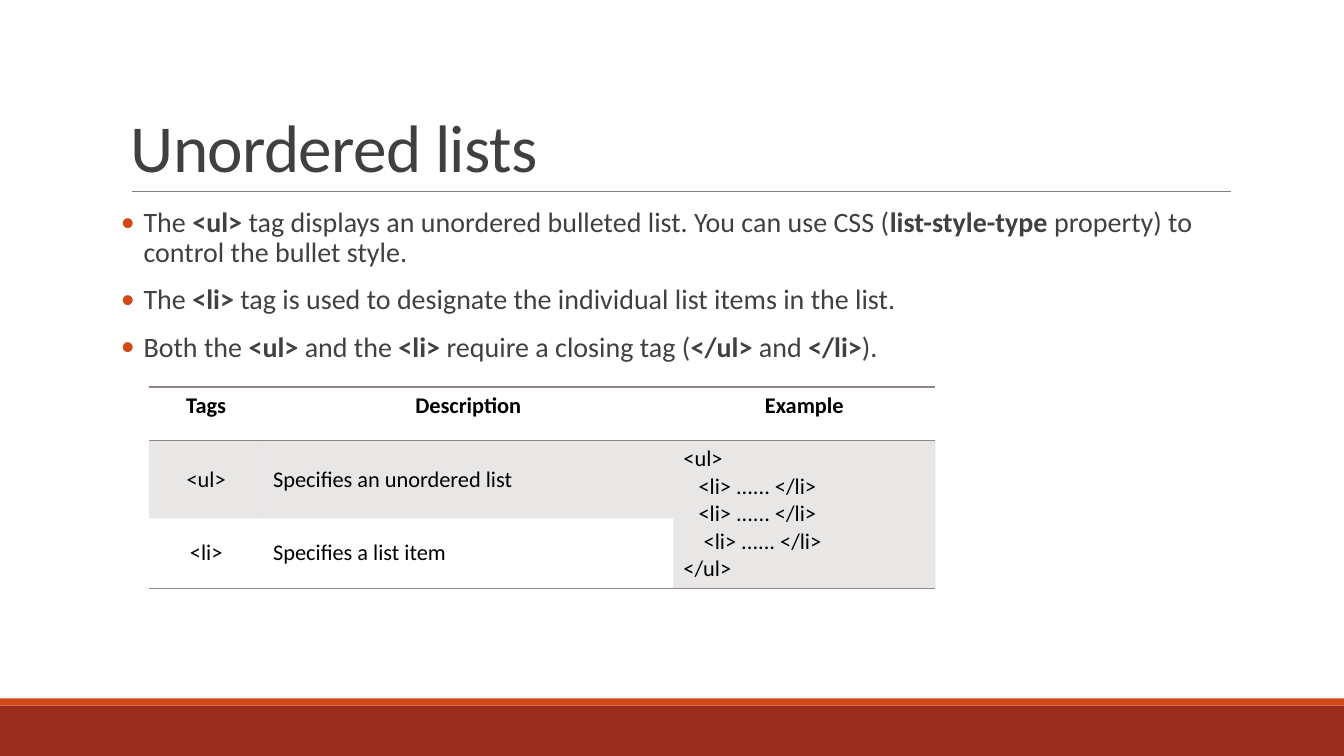
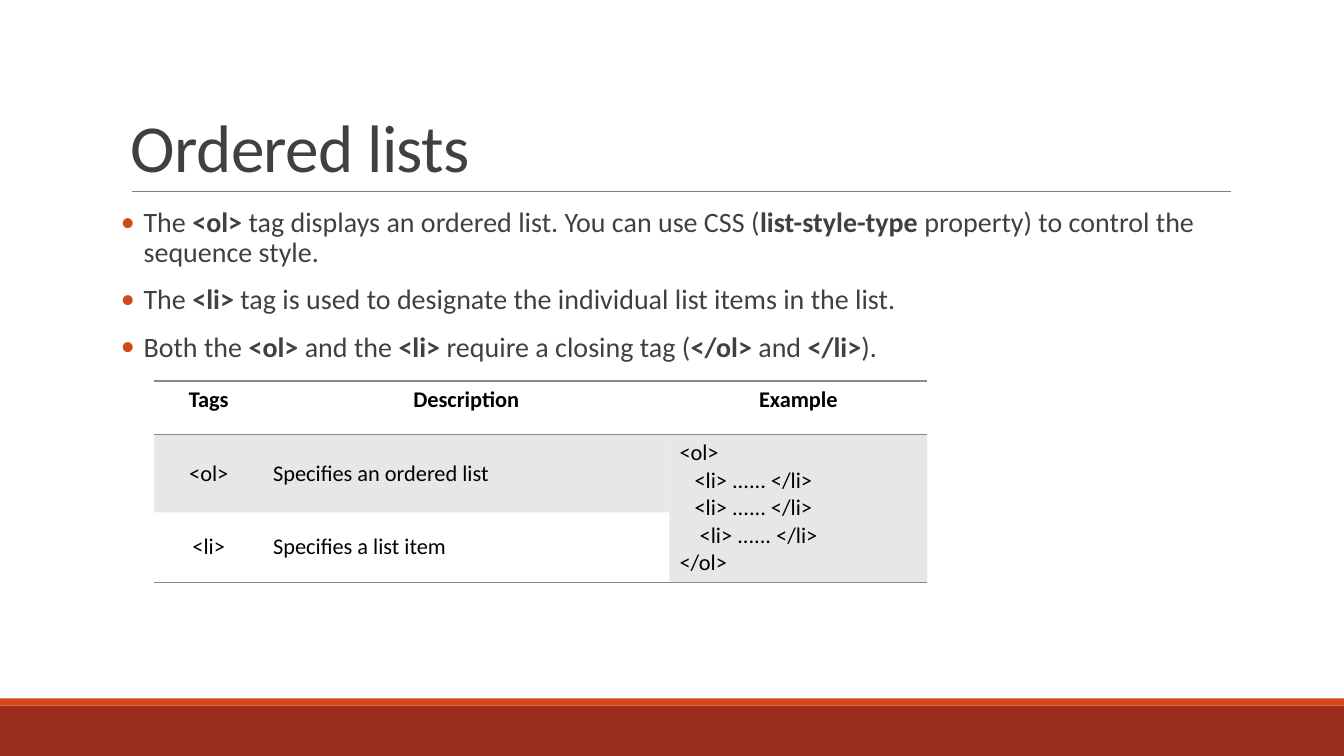
"""Build two slides on HTML unordered and ordered lists."""
from collections import namedtuple
from dataclasses import dataclass

from lxml import etree
from pptx import Presentation
from pptx.dml.color import RGBColor
from pptx.enum import shapes, text
from pptx.oxml import ns
from pptx.util import Cm, Pt

Box = namedtuple("Box", "left top width height")


@dataclass(frozen=True)
class Theme:
    """Hold the colours, font and type sizes of the deck."""

    font: str = "Calibri"
    ink: str = "404040"
    table_ink: str = "000000"
    band: str = "9B2D1F"
    accent: str = "D34817"
    rule: str = "808080"
    table_tone: str = "918485"
    title_size: int = 48
    body_size: int = 20
    table_size: int = 16


THEME = Theme()
SLIDE = Box(0, 0, 33.87, 19.05)
TITLE = Box(3.05, 0.79, 27.94, 4.04)
BODY = Box(3.05, 5.13, 27.94, 11.18)
ROW_HEIGHTS = (1.35, 1.96, 1.76)
NO_TABLE_STYLE = "{2D5ABB26-0587-4C30-8999-92F81FD0307C}"
CODE_INDENTS = (0, 0.38, 0.38, 0.51, 0)


def lengths(box):
    """Convert a box in centimetres to lengths."""
    return [Cm(value) for value in box]


def add_child(parent, tag, **attributes):
    """Append a drawing element with the given attributes."""
    return etree.SubElement(parent, ns.qn(tag), attributes)


def style_span(span, size, colour, bold=False):
    """Format one run of text."""
    span.font.name = THEME.font
    span.font.size = Pt(size)
    span.font.bold = bold
    span.font.color.rgb = RGBColor.from_string(colour)


def add_band(page, box, colour):
    """Draw a plain filled band."""
    band = page.shapes.add_shape(shapes.MSO_SHAPE.RECTANGLE, *lengths(box))
    band.shadow.inherit = False
    band.fill.solid()
    band.fill.fore_color.rgb = RGBColor.from_string(colour)
    band.line.fill.background()


def add_frame(page, box):
    """Draw the footer bands and the rule under the title."""
    stripe, footer = 0.18, 1.27
    footer_top = box.height - footer
    add_band(page, Box(box.left, footer_top, box.width, footer), THEME.band)
    add_band(page, Box(box.left, footer_top - stripe, box.width, stripe), THEME.accent)
    left, right, level = Cm(3.33), Cm(31.01), Cm(TITLE.top + TITLE.height)
    rule = page.shapes.add_connector(shapes.MSO_CONNECTOR.STRAIGHT, left, level, right, level)
    rule.line.color.rgb = RGBColor.from_string(THEME.rule)
    rule.line.width = Pt(0.5)
    add_child(rule.element.spPr, "a:effectLst")


def add_title(page, box, wording):
    """Write the slide title at the bottom of its box."""
    title = page.shapes.add_textbox(*lengths(box))
    frame = title.text_frame
    frame.word_wrap = True
    frame.vertical_anchor = text.MSO_ANCHOR.BOTTOM
    frame.text = wording
    para = frame.paragraphs[0]
    para.line_spacing = 0.85
    style_span(para.runs[0], THEME.title_size, THEME.ink)
    for properties in title.element.iter(ns.qn("a:rPr")):
        properties.set("spc", "-50")


def add_bullets(page, box, points):
    """Write bulleted points, with the parts between asterisks in bold."""
    body = page.shapes.add_textbox(*lengths(box))
    frame = body.text_frame
    frame.word_wrap = True
    frame.margin_left = frame.margin_right = 0
    for number, point in enumerate(points):
        para = frame.add_paragraph() if number else frame.paragraphs[0]
        para.line_spacing = 0.9
        para.space_before, para.space_after = Pt(4), Pt(8)
        for order, wording in enumerate(point.split("*")):
            span = para.add_run()
            span.text = wording
            style_span(span, THEME.body_size, THEME.ink, bold=order % 2 == 1)
    hang = Cm(0.57)
    for properties in body.element.iter(ns.qn("a:pPr")):
        properties.set("marL", str(hang))
        properties.set("indent", str(-hang))
        colour = add_child(properties, "a:buClr")
        add_child(colour, "a:srgbClr", val=THEME.accent)
        add_child(properties, "a:buFont", typeface=THEME.font)
        add_child(properties, "a:buChar", char="•")


def add_borders(properties, sides):
    """Rule the named sides of a table cell, ahead of its fill."""
    for position, side in enumerate(sides):
        line = etree.Element(ns.qn(f"a:ln{side}"), w=str(Pt(1)))
        fill = add_child(line, "a:solidFill")
        add_child(fill, "a:srgbClr", val=THEME.table_tone)
        properties.insert(position, line)


def shade_cell(cell, properties):
    """Give a table cell the translucent tone."""
    cell.fill.solid()
    cell.fill.fore_color.rgb = RGBColor.from_string(THEME.table_tone)
    for colour in properties.iter(ns.qn("a:srgbClr")):
        add_child(colour, "a:alpha", val="20000")


def add_tag_table(page, left, top, widths, rows):
    """Place the tag table, whose last column holds one merged example."""
    box = Box(left, top, sum(widths), sum(ROW_HEIGHTS))
    holder = page.shapes.add_table(len(rows), len(widths), *lengths(box))
    table = holder.table
    table.horz_banding = False
    for style in holder.element.iter(ns.qn("a:tableStyleId")):
        style.text = NO_TABLE_STYLE
    for column, width in zip(table.columns, widths):
        column.width = Cm(width)
    for row, height in zip(table.rows, ROW_HEIGHTS):
        row.height = Cm(height)
    example = len(widths) - 1
    table.cell(1, example).merge(table.cell(2, example))
    elements = list(holder.element.iter(ns.qn("a:tc")))
    for index, cell in enumerate(table.iter_cells()):
        row, column = divmod(index, len(widths))
        header, code = row == 0, row > 0 and column == example
        cell.text = rows[row][column]
        top_set = header or code
        cell.vertical_anchor = text.MSO_ANCHOR.TOP if top_set else text.MSO_ANCHOR.MIDDLE
        centred = header or column == 0
        for para in cell.text_frame.paragraphs:
            para.alignment = text.PP_ALIGN.CENTER if centred else text.PP_ALIGN.LEFT
            for span in para.runs:
                style_span(span, THEME.table_size, THEME.table_ink, bold=header)
        properties = elements[index].find(ns.qn("a:tcPr"))
        if row == 1:
            shade_cell(cell, properties)
        else:
            cell.fill.background()
        if header:
            add_borders(properties, "TB")
        elif row == 2 or code:
            add_borders(properties, "B")
        if cell.is_merge_origin:
            paragraphs = elements[index].iter(ns.qn("a:pPr"))
            for paragraph, indent in zip(paragraphs, CODE_INDENTS):
                paragraph.set("marL", str(Cm(indent)))


def add_list_page(deck, kind, tag, purpose, table_left, table_top, widths):
    """Add one slide that explains a kind of HTML list."""
    page = deck.slides.add_slide(deck.slide_layouts[6])
    add_frame(page, SLIDE)
    add_title(page, TITLE, f"{kind.capitalize()} lists")
    add_bullets(page, BODY, (
        f"The *<{tag}> *tag displays an {purpose}. You can use CSS "
        f"(*list-style-type* property) to control the "
        f"{'bullet' if tag == 'ul' else 'sequence'} style.",
        "The *<li> *tag is used to designate the individual list items in the list.",
        f"Both the *<{tag}> *and the *<li> *require a closing tag (*</{tag}>* and *</li>*).",
    ))
    items = ["<li> ...... </li>"] * 3
    example = "\n".join([f"<{tag}>", *items, f"</{tag}>"])
    add_tag_table(page, table_left, table_top, widths, (
        ("Tags", "Description", "Example"),
        (f"<{tag}>", f"Specifies an {kind} list", example),
        ("<li>", "Specifies a list item", ""),
    ))


def main():
    """Build and save the deck."""
    deck = Presentation()
    deck.slide_width, deck.slide_height = Cm(SLIDE.width), Cm(SLIDE.height)
    add_list_page(deck, "unordered", "ul", "unordered bulleted list",
                  3.76, 9.75, (2.87, 10.34, 6.6))
    add_list_page(deck, "ordered", "ol", "ordered list",
                  3.89, 9.6, (2.74, 10.24, 6.5))
    deck.save("out.pptx")


main()
